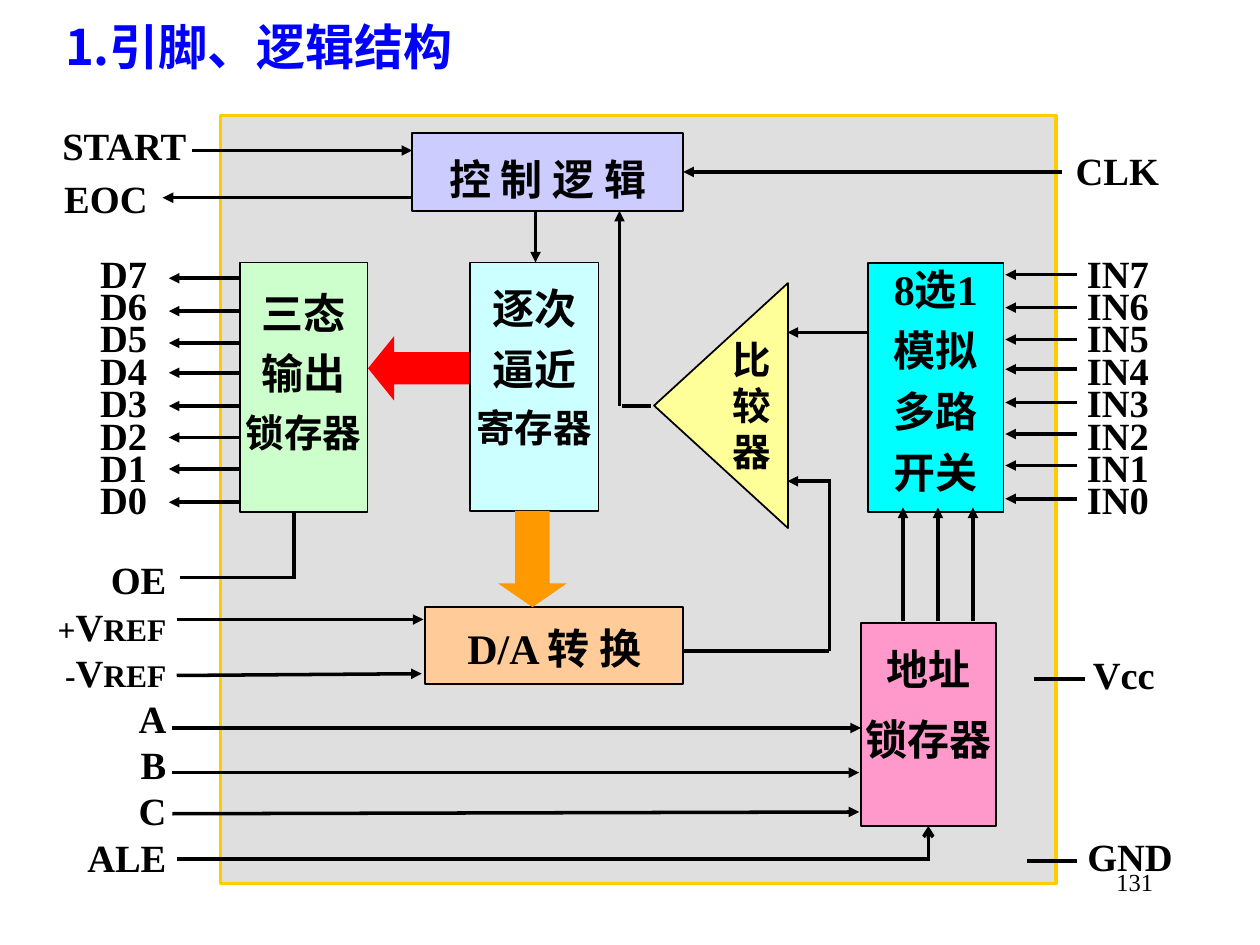
"""Build the slide on the pins and logic structure of an A/D converter."""
from lxml import etree
from pptx import Presentation
from pptx.dml import color
from pptx.enum import shapes, text
from pptx.oxml import ns
from pptx.util import Pt

THEME = {
    "font": "Times New Roman", "title_font": "Noto Sans CJK SC",
    "title_size": 28, "block_size": 24, "label_size": 22, "subscript_size": 18, "number_size": 14,
    "title": "0000FF", "ink": "000000", "chip": "C0C0C0", "chip_edge": "FFCC00",
    "latch": "CCFFCC", "register": "CCFFFF", "switch": "00FFFF", "address": "FF99CC",
    "converter": "FFCC99", "control": "CCCCFF", "comparator": "FFFF99",
    "data_out": "FF0000", "data_down": "FF9900",
}
LABEL, BLOCK, SMALL = THEME["label_size"], THEME["block_size"], THEME["subscript_size"]
SHAPE, ALIGN = shapes.MSO_SHAPE, text.PP_ALIGN


def rgb(name):
    return color.RGBColor.from_string(THEME[name])


def write(shape, lines, size, align=ALIGN.CENTER, top=0, spacing=None, after=0, bold=True):
    """Fill a shape with lines, each a string or a list of (text, size) runs."""
    frame = shape.text_frame
    frame.word_wrap = True
    frame.vertical_anchor = text.MSO_ANCHOR.TOP
    frame.margin_left = frame.margin_right = frame.margin_bottom = 0
    frame.margin_top = Pt(top)
    for index, line in enumerate(lines):
        paragraph = frame.add_paragraph() if index else frame.paragraphs[0]
        paragraph.alignment = align
        paragraph.space_after = Pt(after)
        if spacing:
            paragraph.line_spacing = spacing
        runs = [(line, size)] if isinstance(line, str) else line
        font = paragraph.font
        font.name, font.bold, font.color.rgb = THEME["font"], bold, rgb("ink")
        if len(runs) == 1:
            font.size = Pt(runs[0][1])
        for words, run_size in runs:
            run = paragraph.add_run()
            run.text = words
            if len(runs) > 1:
                run.font.size = Pt(run_size)


presentation = Presentation()
presentation.slide_width, presentation.slide_height = Pt(720), Pt(540)
slide = presentation.slides.add_slide(presentation.slide_layouts[5])

title = slide.shapes.title
title.left, title.top, title.width, title.height = Pt(30), Pt(6), Pt(630), Pt(41)
title.text_frame.text = "1.引脚、逻辑结构"
title.text_frame.vertical_anchor = text.MSO_ANCHOR.MIDDLE
heading = title.text_frame.paragraphs[0]
heading.alignment = ALIGN.LEFT
heading.font.name, heading.font.size = THEME["title_font"], Pt(THEME["title_size"])
heading.font.bold, heading.font.color.rgb = True, rgb("title")

latch_lines = [("锁存器", LABEL)]
blocks = [
    ("chip", SHAPE.RECTANGLE, (126, 66, 477.5, 439), "chip_edge", 2, [], {}),
    ("data_out", SHAPE.LEFT_ARROW, (210.3, 192, 60, 37), None, 0, [], {}),
    ("latch", SHAPE.RECTANGLE, (137, 150, 73, 142.5), "ink", 1,
     ["三态", "输出", [("锁存器", LABEL)]], {"top": 14, "after": 6}),
    ("register", SHAPE.RECTANGLE, (268.5, 150, 73.5, 142), "ink", 1,
     ["逐次", "逼近", [("寄存器", LABEL)]], {"top": 11.5, "after": 6}),
    ("switch", SHAPE.RECTANGLE, (496, 150.5, 77.5, 142), "ink", 1,
     ["8选1", "模拟", "多路", "开关"], {"after": 6}),
    ("address", SHAPE.RECTANGLE, (492, 356, 77, 116), "ink", 1,
     ["地址", "锁存器"], {"spacing": 1.4}),
    ("converter", SHAPE.RECTANGLE, (243, 347, 147.5, 44), "ink", 1,
     ["D/A 转 换"], {"top": 8.6}),
    ("data_down", SHAPE.DOWN_ARROW, (284.5, 292, 39.5, 55), None, 0, [], {}),
    ("comparator", SHAPE.ISOSCELES_TRIANGLE, (342, 193.5, 140, 76.5), "ink", 1, [], {}),
    ("control", SHAPE.RECTANGLE, (235.5, 76, 155, 44.5), "ink", 1,
     ["控 制 逻 辑"], {"spacing": 1.4}),
]
parts = {}
for name, kind, box, edge, width, lines, options in blocks:
    shape = slide.shapes.add_shape(kind, *map(Pt, box))
    shape.shadow.inherit = False
    shape.fill.solid()
    shape.fill.fore_color.rgb = rgb(name)
    if edge:
        shape.line.color.rgb = rgb(edge)
        shape.line.width = Pt(width)
    else:
        shape.line.fill.background()
    if lines:
        write(shape, lines, BLOCK, **options)
    parts[name] = shape
parts["comparator"].rotation = 270
parts["data_out"].adjustments[1] = 0.405
parts["data_down"].adjustments[1] = 0.346
chip_color = parts["chip"].fill._xPr.find(".//" + ns.qn("a:srgbClr"))
etree.SubElement(chip_color, ns.qn("a:alpha"), val="50000")

pin_rows = [159, 177.8, 196, 213, 232, 250, 268, 287]
wires = [((137, y), (96.5, y), "triangle") for y in pin_rows]
wires += [((615.5, y - 2), (574.5, y - 2), "triangle") for y in pin_rows]
wires += [((x, 355), (x, 290), "triangle") for x in (516, 536, 556)]
wires += [
    ((110, 86), (235.5, 86), "triangle"),
    ((235, 113), (93, 113), "triangle"),
    ((306, 120.5), (306, 150), "triangle"),
    ((354, 232), (354, 120.5), "triangle"),
    ((355.5, 232), (372, 232), None),
    ((496, 190), (450, 190), "triangle"),
    ((475, 275), (450, 275), "triangle"),
    ((390.5, 372), (474, 372), None),
    ((474, 372), (474, 275), None),
    ((168, 293), (168, 330), None),
    ((103, 330), (169, 330), None),
    ((101, 354), (242, 354), "triangle"),
    ((101, 386), (241, 385), "triangle"),
    ((98.5, 416), (492, 416), "triangle"),
    ((98.5, 441.5), (491, 441.5), "triangle"),
    ((98.5, 465), (491, 464), "triangle"),
    ((101, 491), (530.5, 491), None),
    ((591, 388), (620, 388), None),
    ((587, 492), (615.5, 492), None),
    ((607, 98.25), (390.5, 98.25), "triangle", "control", 3),
    ((530.5, 492), (530.5, 472), "arrow", "address", 2),
]
for start, end, head, *joint in wires:
    wire = slide.shapes.add_connector(shapes.MSO_CONNECTOR.STRAIGHT, *map(Pt, start + end))
    if joint:
        wire.end_connect(parts[joint[0]], joint[1])
    wire.line.color.rgb = rgb("ink")
    wire.line.width = Pt(2)
    if head:
        etree.SubElement(wire.line._get_or_add_ln(), ns.qn("a:tailEnd"), type=head)
    etree.SubElement(wire._element.spPr, ns.qn("a:effectLst"))

references = [[(sign, SMALL), ("V", LABEL), ("REF", SMALL)] for sign in "+-"]
labels = [
    ((34, 70, 74, 26), ["START"], {}),
    ((36, 100, 49, 26), ["EOC"], {}),
    ((600, 84, 77, 20), ["CLK"], {}),
    ((618.5, 372, 47.5, 26), ["Vcc"], {}),
    ((614, 476, 63.5, 28), ["GND"], {}),
    ((418.5, 192, 31.5, 84), ["比", "较", "器"], {"align": ALIGN.JUSTIFY}),
    ((24, 318, 71, 192), ["OE", *references, "A", "B", "C", "ALE"], {"align": ALIGN.RIGHT}),
    ((606, 150, 65.5, 144), [f"IN{pin}" for pin in range(7, -1, -1)], {"spacing": 0.7}),
    ((42, 150, 42, 144), [f"D{pin}" for pin in range(7, -1, -1)],
     {"spacing": 0.7, "align": ALIGN.RIGHT}),
    ((516, 492, 143, 36), ["131"],
     {"size": THEME["number_size"], "align": ALIGN.RIGHT, "top": 3.6, "bold": False}),
]
for box, lines, options in labels:
    label = slide.shapes.add_textbox(*map(Pt, box))
    write(label, lines, **{"size": LABEL, **options})

presentation.save("out.pptx")
